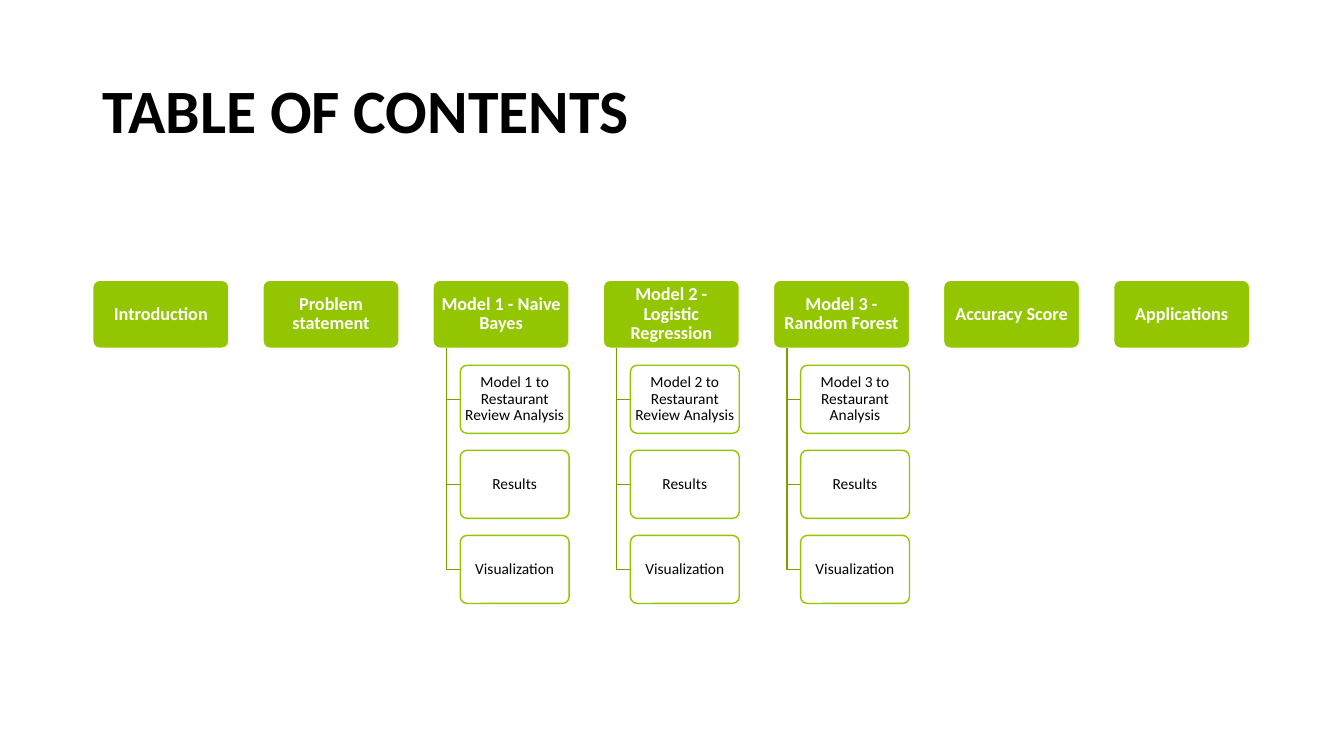
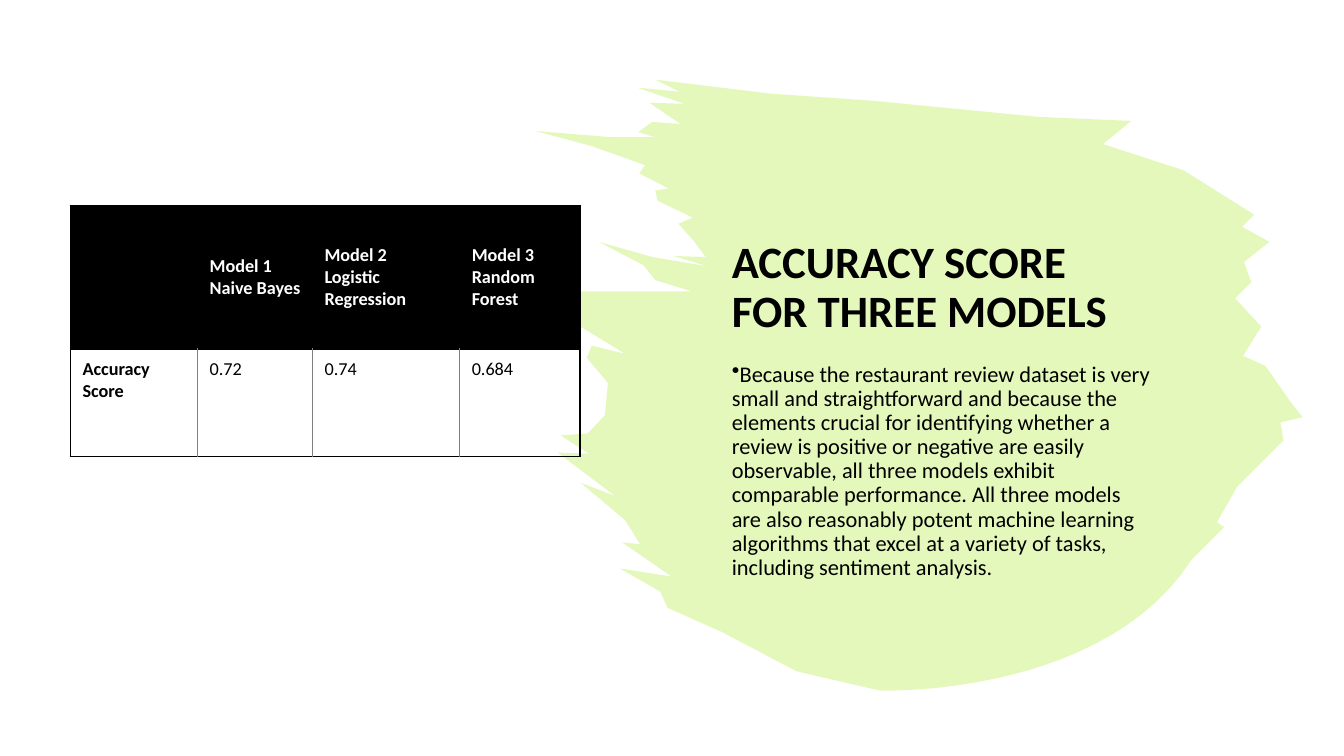
from lxml import etree
from pptx import Presentation
from pptx.dml.color import RGBColor
from pptx.enum.shapes import MSO_SHAPE
from pptx.enum.text import MSO_ANCHOR, PP_ALIGN
from pptx.oxml.ns import qn
from pptx.util import Inches, Pt

ROUNDED = MSO_SHAPE.ROUNDED_RECTANGLE
TOP, MIDDLE, BOTTOM = MSO_ANCHOR.TOP, MSO_ANCHOR.MIDDLE, MSO_ANCHOR.BOTTOM
LEFT, CENTER = PP_ALIGN.LEFT, PP_ALIGN.CENTER

FONT = "Calibri"
BLACK, WHITE, GRAY = "000000", "FFFFFF", "808080"
GREEN, DARK_GREEN, PALE_GREEN = "94C600", "779F00", "CAF278"

REVIEW_STEPS = ["Results", "Visualization"]
TOPICS = [
    ("Introduction", []),
    ("Problem statement", []),
    ("Model 1 - Naive Bayes", ["Model 1 to Restaurant Review Analysis", *REVIEW_STEPS]),
    ("Model 2 - Logistic Regression", ["Model 2 to Restaurant Review Analysis", *REVIEW_STEPS]),
    ("Model 3 - Random Forest", ["Model 3 to Restaurant Analysis", *REVIEW_STEPS]),
    ("Accuracy Score", []),
    ("Applications", []),
]

SCORES = [
    ["", "Model 1\nNaive Bayes", "Model 2\nLogistic Regression", "Model 3\nRandom Forest"],
    ["Accuracy Score", "0.72", "0.74", "0.684"],
]

EXPLANATION = (
    "Because the restaurant review dataset is very small and straightforward and because "
    "the elements crucial for identifying whether a review is positive or negative are "
    "easily observable, all three models exhibit comparable performance. All three models "
    "are also reasonably potent machine learning algorithms that excel at a variety of "
    "tasks, including sentiment analysis."
)

BRUSH_RIGHT = [
    (6.5, 0.79), (7.65, 0.93), (8.66, 1), (10.3, 1.16), (11.22, 1.2), (10.94, 1.43),
    (11.74, 1.69), (12.44, 2.13), (12.32, 2.25), (12.59, 2.4), (12.34, 2.6),
    (12.41, 2.8), (12.25, 2.96), (12.51, 3.24), (12.33, 3.53), (12.55, 3.63),
    (12.81, 4), (12.92, 4.14), (12.7, 4.19), (12.73, 4.37), (12.27, 4.83),
    (12.07, 5.18), (12.14, 5.23), (11.82, 5.55),
]
BRUSH_BOTTOM = [(11.82, 5.55), (10.99, 6.85), (8.95, 6.86), (8.72, 6.85)]
BRUSH_LEFT = [
    (7.9, 6.66), (7.16, 6.27), (6.62, 6.03), (6.55, 5.87), (6.15, 5.64), (6.66, 5.72),
    (6.17, 5.38), (6.35, 5.4), (6.2, 5.16), (5.76, 4.79), (6.1, 4.92), (5.53, 4.49),
    (5.84, 4.5), (5.56, 4.32), (5.83, 4.3), (6, 4.12), (6.03, 3.8), (5.82, 3.55),
    (5.87, 3.43), (6.2, 3.51), (5.69, 3.2), (5.77, 2.89), (6.32, 2.89), (6.86, 2.89),
    (6.5, 2.78), (6.38, 2.63), (5.94, 2.4), (6.47, 2.55), (7.01, 2.64), (6.68, 2.54),
    (7, 2.55), (6.88, 2.39), (6.73, 2.22), (6.87, 2.16), (6.52, 1.99), (6.5, 1.89),
    (6.63, 1.87), (6.34, 1.72), (6.4, 1.64), (5.87, 1.45), (5.31, 1.3), (6.05, 1.36),
    (6.49, 1.36), (6.33, 1.31), (6.47, 1.21), (6.75, 1.23), (6.44, 1.02), (6.79, 1.03),
    (6.32, 0.87), (6.74, 0.91),
]


def color(value):
    return RGBColor.from_string(value)


def curve_points(start, first, second, end, steps=24):
    points = []
    for step in range(1, steps + 1):
        t = step / steps
        u = 1 - t
        points.append(tuple(
            u**3 * a + 3 * u**2 * t * b + 3 * u * t**2 * c + t**3 * d
            for a, b, c, d in zip(start, first, second, end)
        ))
    return points


def write_text(frame, text, size=16, ink=BLACK, bold=False, align=LEFT, spacing=0.9,
               anchor=TOP, bullet=None):
    frame.word_wrap = True
    frame.vertical_anchor = anchor
    for index, line in enumerate(text.split("\n")):
        paragraph = frame.paragraphs[0] if index == 0 else frame.add_paragraph()
        paragraph.alignment = align
        paragraph.line_spacing = spacing
        run = paragraph.add_run()
        run.text = line
        run.font.name = FONT
        run.font.size = Pt(size)
        run.font.bold = bold
        run.font.color.rgb = color(ink)
        if bullet:
            properties = paragraph._p.get_or_add_pPr()
            properties.set("marL", "0")
            properties.set("indent", str(-Inches(0.25)))
            etree.SubElement(properties, qn("a:buChar"), char=bullet)


class Deck:
    def __init__(self):
        self.presentation = Presentation()
        self.presentation.slide_width = Inches(13.33)
        self.presentation.slide_height = Inches(7.5)
        self.slide = None

    def add_slide(self):
        self.slide = self.presentation.slides.add_slide(self.presentation.slide_layouts[6])

    def text(self, text, left, top, width, height, **text_format):
        shape = self.slide.shapes.add_textbox(
            Inches(left), Inches(top), Inches(width), Inches(height))
        write_text(shape.text_frame, text, **text_format)

    def title(self, text, left, top, width, height, size, anchor):
        self.text(text, left, top, width, height, size=size, anchor=anchor, bold=True)

    def paint(self, shape, fill=None, line=None, opacity=100):
        shape.shadow.inherit = False
        if fill:
            shape.fill.solid()
            shape.fill.fore_color.rgb = color(fill)
            if opacity < 100:
                fill_color = shape._element.spPr.find(qn("a:solidFill"))[0]
                etree.SubElement(fill_color, qn("a:alpha"), val=str(opacity * 1000))
        else:
            shape.fill.background()
        if line:
            shape.line.color.rgb = color(line)
            shape.line.width = Pt(1)
        else:
            shape.line.fill.background()

    def box(self, text, left, top, width, height, fill, line, side_inset, **text_format):
        shape = self.slide.shapes.add_shape(
            ROUNDED, Inches(left), Inches(top), Inches(width), Inches(height))
        shape.adjustments[0] = 0.1
        self.paint(shape, fill, line)
        frame = shape.text_frame
        frame.margin_left = frame.margin_right = Inches(side_inset)
        frame.margin_top = frame.margin_bottom = Inches(0.02)
        write_text(frame, text, align=CENTER, anchor=MIDDLE, **text_format)

    def outline(self, points, close, **paint):
        corners = [(Inches(x), Inches(y)) for x, y in points]
        builder = self.slide.shapes.build_freeform(*corners[0])
        builder.add_line_segments(corners[1:], close=close)
        self.paint(builder.convert_to_shape(), **paint)

    def borders(self, cell, sides):
        properties = cell._tc.get_or_add_tcPr()
        for index, (side, (line, width)) in enumerate(sides.items()):
            border = etree.Element(qn(f"a:ln{side}"), w=str(Pt(width)))
            solid = etree.SubElement(border, qn("a:solidFill"))
            etree.SubElement(solid, qn("a:srgbClr"), val=line)
            properties.insert(index, border)

    def table(self, rows, left, top, widths, heights):
        table = self.slide.shapes.add_table(
            len(rows), len(widths), Inches(left), Inches(top),
            Inches(sum(widths)), Inches(sum(heights))).table
        table.first_row = table.horz_banding = False
        for column, width in zip(table.columns, widths):
            column.width = Inches(width)
        thick, thin = (BLACK, 1.5), (GRAY, 0.5)
        for r, row in enumerate(rows):
            table.rows[r].height = Inches(heights[r])
            header = r == 0
            for c, text in enumerate(row):
                cell = table.cell(r, c)
                cell.margin_left = Inches(0.12)
                cell.margin_top = cell.margin_right = cell.margin_bottom = Inches(0.09)
                if header:
                    cell.fill.solid()
                    cell.fill.fore_color.rgb = color(BLACK)
                else:
                    cell.fill.background()
                self.borders(cell, {
                    "L": thick if header or c == 0 else thin,
                    "R": thick if header or c == len(row) - 1 else thin,
                    "T": thick,
                    "B": thick,
                })
                if text:
                    write_text(cell.text_frame, text, size=13, spacing=1,
                               ink=WHITE if header else BLACK, bold=header or c == 0)
                cell.vertical_anchor = MIDDLE if header else TOP

    def topic_tree(self, topics, left, top, width):
        height = width / 2
        for index, (topic, details) in enumerate(topics):
            x = left + index * width * 1.25
            self.box(topic, x, top, width, height, GREEN, WHITE, 0.03,
                     size=13, ink=WHITE, bold=True)
            trunk, branch = x + width * 0.1, x + width * 0.2
            for row, detail in enumerate(details, 1):
                y = top + row * height * 1.25
                middle = y + height / 2
                self.outline([(trunk, top + height), (trunk, middle), (branch, middle)],
                             close=False, line=DARK_GREEN)
                self.box(detail, branch, y, width * 0.8, height, WHITE, GREEN, 0.02, size=11)


def main():
    deck = Deck()

    deck.add_slide()
    deck.title("TABLE OF CONTENTS", 0.92, 0.4, 11.5, 1.45, size=44, anchor=MIDDLE)
    deck.topic_tree(TOPICS, left=0.92, top=2.78, width=1.35)

    deck.add_slide()
    deck.outline(BRUSH_RIGHT + curve_points(*BRUSH_BOTTOM) + BRUSH_LEFT,
                 close=True, fill=PALE_GREEN, opacity=50)
    deck.title("ACCURACY SCORE FOR THREE MODELS", 7.16, 1.61, 4.35, 1.78,
               size=32, anchor=BOTTOM)
    deck.text(EXPLANATION, 7.16, 3.55, 4.35, 2.65, bullet="•")
    deck.table(SCORES, 0.7, 2.04, widths=[1.26, 1.14, 1.46, 1.19], heights=[1.42, 1.07])

    deck.presentation.save("out.pptx")


if __name__ == "__main__":
    main()
